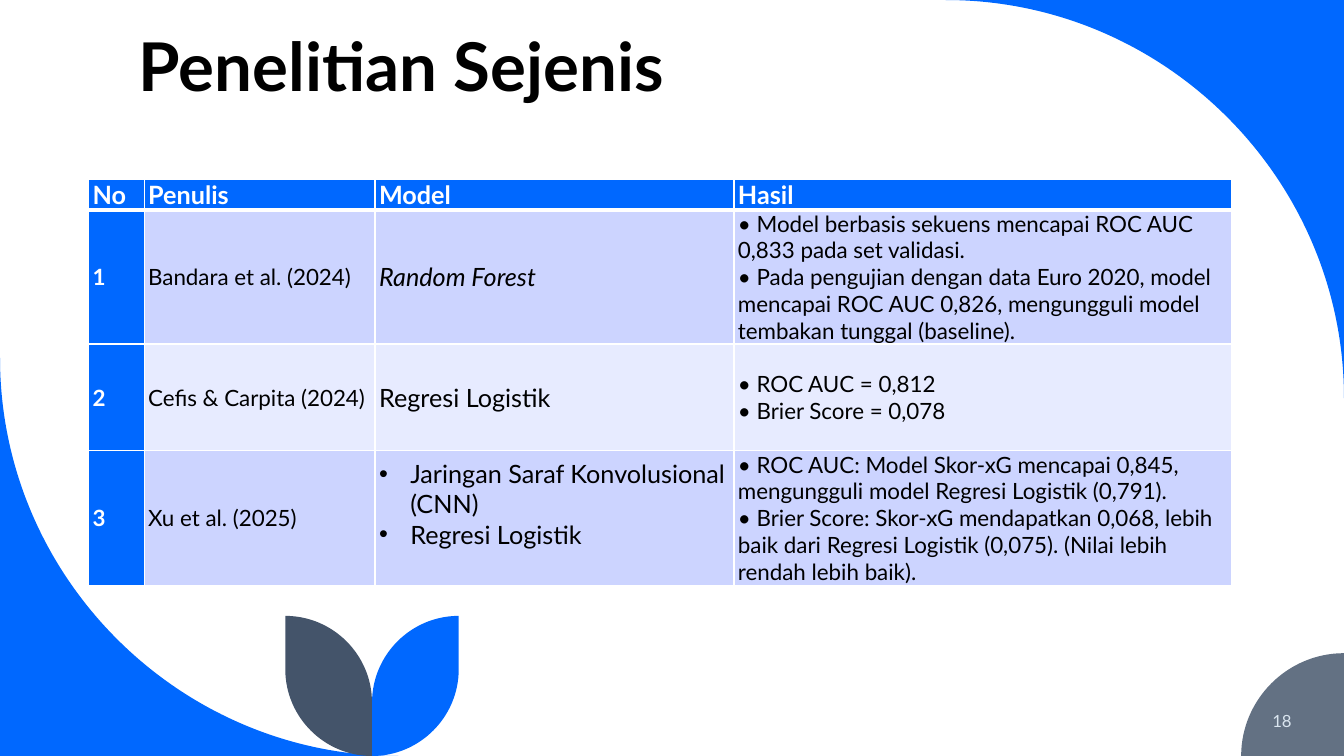
from lxml import etree
from pptx import Presentation
from pptx.dml.color import RGBColor
from pptx.enum.text import MSO_ANCHOR, PP_ALIGN
from pptx.oxml.ns import qn
from pptx.util import Inches, Pt

MIDDLE, BOTTOM = MSO_ANCHOR.MIDDLE, MSO_ANCHOR.BOTTOM
LEFT, RIGHT = PP_ALIGN.LEFT, PP_ALIGN.RIGHT
BLUE = RGBColor(0x00, 0x68, 0xFF)
SLATE = RGBColor(0x44, 0x54, 0x6A)
GRAY = RGBColor(0x63, 0x71, 0x83)
PALE = RGBColor(0xDA, 0xE5, 0xEF)
BAND_DARK = RGBColor(0xCC, 0xD4, 0xFF)
BAND_LIGHT = RGBColor(0xE7, 0xEB, 0xFF)
WHITE = RGBColor(0xFF, 0xFF, 0xFF)
BLACK = RGBColor(0x00, 0x00, 0x00)
WIDTH, HEIGHT = 13.33, 7.5


def quarter(start, corner, end):
    """Two handles and the end of a quarter circle that touches both sides of a corner."""
    handles = [tuple(p + 0.55 * (q - p) for p, q in zip(point, corner))
               for point in (start, end)]
    return [*handles, end]


def write(paragraph, text, **formats):
    """Add one run in Lato with the given font values."""
    span = paragraph.add_run()
    span.text = text
    color = formats.pop("color")
    for name, value in {"name": "Lato", **formats}.items():
        setattr(span.font, name, value)
    span.font.color.rgb = color


deck = Presentation()
deck.slide_width, deck.slide_height = Inches(WIDTH), Inches(HEIGHT)
page = deck.slides.add_slide(deck.slide_layouts[6])

# Corner curves and the two leaves: start, then (end) lines and (corner, end) curves
BIG, SMALL, LEAF = 3.95, 1.02, 0.86
STEM, LEAF_TOP = 3.69, 6.11
outlines = [
    (BLUE, (WIDTH - BIG, 0), [((WIDTH, 0), (WIDTH, BIG)), ((WIDTH, 0),)]),
    (BLUE, (0, HEIGHT - BIG), [((0, HEIGHT), (BIG, HEIGHT)), ((0, HEIGHT),)]),
    (GRAY, (WIDTH - SMALL, HEIGHT),
     [((WIDTH - SMALL, HEIGHT - SMALL), (WIDTH, HEIGHT - SMALL)), ((WIDTH, HEIGHT),)]),
]
for color, tip in ((BLUE, STEM + LEAF), (SLATE, STEM - LEAF)):
    outlines.append((color, (tip, HEIGHT - LEAF), [
        ((tip, HEIGHT), (STEM, HEIGHT)),
        ((STEM, LEAF_TOP + LEAF),),
        ((STEM, LEAF_TOP), (tip, LEAF_TOP)),
    ]))

for color, start, steps in outlines:
    points, curve_starts = [start], []
    for step in steps:
        if len(step) == 2:
            curve_starts.append(len(points) - 1)
            points += quarter(points[-1], *step)
        else:
            points += step
    points = [(Inches(x), Inches(y)) for x, y in points]
    builder = page.shapes.build_freeform(*points[0])
    builder.add_line_segments(points[1:], close=True)
    shape = builder.convert_to_shape()

    # Join each set of three points into one curve
    lines = list(shape._element.iter(qn("a:lnTo")))
    for first in curve_starts:
        curve = etree.Element(qn("a:cubicBezTo"))
        lines[first].addprevious(curve)
        for line in lines[first:first + 3]:
            curve.append(line[0])
            line.getparent().remove(line)

    shape.shadow.inherit = False
    shape.fill.solid()
    shape.fill.fore_color.rgb = color
    shape.line.fill.background()

# Title and page number
texts = [
    ("Penelitian Sejenis", (1.28, 0.42, 10.69, 0.68), BOTTOM, LEFT, 0.9,
     {"size": Pt(48), "bold": True, "color": BLACK}),
    ("18", (11.1, 6.95, 1.81, 0.4), MIDDLE, RIGHT, 1.0,
     {"size": Pt(12), "color": PALE}),
]
for text, place, anchor, alignment, spacing, formats in texts:
    box = page.shapes.add_textbox(*map(Inches, place))
    box.text_frame.word_wrap = True
    box.text_frame.vertical_anchor = anchor
    para = box.text_frame.paragraphs[0]
    para.alignment = alignment
    para.line_spacing = spacing
    write(para, text, **formats)

# Table of related studies
rows = [
    [["No"], ["Penulis"], ["Model"], ["Hasil"]],
    [["1"], ["Bandara et al. (2024)"], ["Random Forest"],
     ["• Model berbasis sekuens mencapai ROC AUC 0,833 pada set validasi.",
      "• Pada pengujian dengan data Euro 2020, model mencapai ROC AUC 0,826, "
      "mengungguli model tembakan tunggal (baseline)."]],
    [["2"], ["Cefis & Carpita (2024)"], ["Regresi Logistik"],
     ["• ROC AUC = 0,812", "• Brier Score = 0,078"]],
    [["3"], ["Xu et al. (2025)"],
     ["Jaringan Saraf Konvolusional (CNN)", "Regresi Logistik"],
     ["• ROC AUC: Model Skor-xG mencapai 0,845, mengungguli model "
      "Regresi Logistik (0,791).",
      "• Brier Score: Skor-xG mendapatkan 0,068, lebih baik dari "
      "Regresi Logistik (0,075). (Nilai lebih rendah lebih baik)."]],
]
column_widths = [0.55, 2.29, 3.56, 4.94]
row_heights = [0.28, 1.33, 1.06, 1.33]
MODEL = 2
frame = page.shapes.add_table(len(rows), len(column_widths), Inches(0.88), Inches(1.78),
                              Inches(sum(column_widths)), Inches(sum(row_heights)))
table = frame.table
for column, width in zip(table.columns, column_widths):
    column.width = Inches(width)
for row, height in zip(table.rows, row_heights):
    row.height = Inches(height)

for r, row in enumerate(rows):
    for c, lines in enumerate(row):
        cell = table.cell(r, c)
        bulleted = c == MODEL and len(lines) > 1
        cell.vertical_anchor = MIDDLE
        cell.margin_left = cell.margin_right = Inches(0.04)
        cell.margin_top = 0
        cell.margin_bottom = Inches(0.28 if bulleted else 0)

        # White borders, thicker under the header
        properties = cell._tc.get_or_add_tcPr()
        for side in ("lnL", "lnR", "lnT", "lnB"):
            thick = (r, side) in ((0, "lnB"), (1, "lnT"))
            border = etree.SubElement(properties, qn(f"a:{side}"), w=str(Pt(3 if thick else 1)))
            solid = etree.SubElement(border, qn("a:solidFill"))
            etree.SubElement(solid, qn("a:srgbClr"), val=str(WHITE))

        heading = r == 0 or c == 0
        band = BAND_DARK if r % 2 else BAND_LIGHT
        cell.fill.solid()
        cell.fill.fore_color.rgb = BLUE if heading else band

        for number, line in enumerate(lines):
            para = cell.text_frame.paragraphs[0] if number == 0 else cell.text_frame.add_paragraph()
            if bulleted:
                bullet = para._p.get_or_add_pPr()
                bullet.set("marL", str(Inches(0.31)))
                bullet.set("indent", str(-Inches(0.31)))
                etree.SubElement(bullet, qn("a:buFont"), typeface="Arial")
                etree.SubElement(bullet, qn("a:buChar"), char="•")
            write(para, line, size=Pt(18 if r == 0 or c == MODEL else 16), bold=heading,
                  italic=line == "Random Forest", color=WHITE if heading else BLACK)

deck.save("out.pptx")
